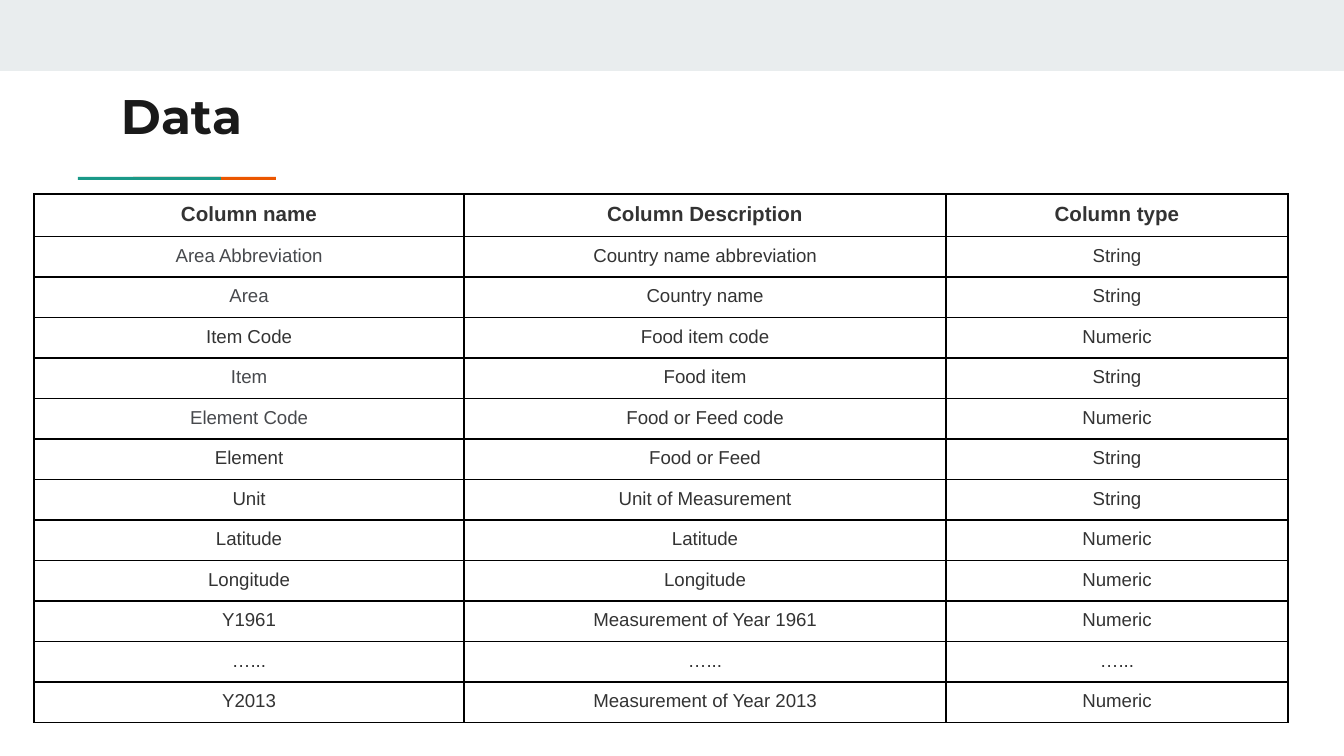
import pptx
import pptx.dml.color
import pptx.enum.shapes
import pptx.enum.text
import pptx.oxml
import pptx.oxml.ns
import pptx.util

RGBColor = pptx.dml.color.RGBColor
BAND_GRAY = RGBColor(0xE9, 0xED, 0xEE)
ORANGE = RGBColor(0xEB, 0x56, 0x00)
TEAL = RGBColor(0x1A, 0x99, 0x88)
TITLE_BLACK = RGBColor(0x1A, 0x1A, 0x1A)
TEXT_DARK = RGBColor(0x33, 0x33, 0x33)
TEXT_GRAY = RGBColor(0x47, 0x49, 0x4D)

EMU_PER_PX = 914400 / 134.4


def px(length):
    return pptx.util.Emu(round(length * EMU_PER_PX))


def add_run(paragraph, text, font_name, size, color, bold):
    run = paragraph.add_run()
    run.text = text
    run.font.name = font_name
    run.font.size = pptx.util.Pt(size)
    run.font.color.rgb = color
    run.font.bold = bold


deck = pptx.Presentation()
deck.slide_width, deck.slide_height = px(1344), px(756)
slide = deck.slides.add_slide(deck.slide_layouts[6])

# Top band and two-colour rule, teal overlapping orange
for left, top, width, height, color in [
    (0, 0, 1344, 71, BAND_GRAY),
    (133, 177, 143, 3, ORANGE),
    (78, 177, 143, 3, TEAL),
]:
    bar = slide.shapes.add_shape(
        pptx.enum.shapes.MSO_SHAPE.RECTANGLE, px(left), px(top), px(width), px(height))
    bar.shadow.inherit = False
    bar.fill.solid()
    bar.fill.fore_color.rgb = color
    bar.line.fill.background()

# Title
title = slide.shapes.add_textbox(px(108), px(73), px(1130), px(79)).text_frame
title.word_wrap = True
title.margin_left = title.margin_right = px(13)
title.margin_top = title.margin_bottom = px(13)
add_run(title.paragraphs[0], "Data", "Montserrat", 26, TITLE_BLACK, True)

# Column table
rows = [
    ("Column name", "Column Description", "Column type"),
    ("Area Abbreviation", "Country name abbreviation", "String"),
    ("Area", "Country name", "String"),
    ("Item Code", "Food item code", "Numeric"),
    ("Item", "Food item", "String"),
    ("Element Code", "Food or Feed code", "Numeric"),
    ("Element", "Food or Feed", "String"),
    ("Unit", "Unit of Measurement", "String"),
    ("Latitude", "Latitude", "Numeric"),
    ("Longitude", "Longitude", "Numeric"),
    ("Y1961", "Measurement of Year 1961", "Numeric"),
    ("…...", "…...", "…..."),
    ("Y2013", "Measurement of Year 2013", "Numeric"),
]
gray_names = {"Area Abbreviation", "Area", "Item", "Element Code"}
column_widths = [430, 482, 342]
# Minimum heights: each row grows to fit its text
row_heights = [32] + [30] * (len(rows) - 1)

columns = slide.shapes.add_table(
    len(rows), len(column_widths), px(34), px(194),
    px(sum(column_widths)), px(sum(row_heights))).table
columns.first_row = False
columns.horz_banding = False
for column, width in zip(columns.columns, column_widths):
    column.width = px(width)

for r, texts in enumerate(rows):
    columns.rows[r].height = px(row_heights[r])
    header = r == 0
    for c, text in enumerate(texts):
        cell = columns.cell(r, c)
        cell.margin_left = cell.margin_right = px(9)
        cell.margin_top = cell.margin_bottom = px(9)
        paragraph = cell.text_frame.paragraphs[0]
        paragraph.alignment = pptx.enum.text.PP_ALIGN.CENTER
        color = TEXT_GRAY if text in gray_names else TEXT_DARK
        add_run(paragraph, text, "Arial", 11 if header else 10, color, header)
        # Black 1 pt borders on every side
        properties = cell._tc.get_or_add_tcPr()
        for side in ("lnL", "lnR", "lnT", "lnB"):
            properties.append(pptx.oxml.parse_xml(
                f'<a:{side} {pptx.oxml.ns.nsdecls("a")} w="12700"><a:solidFill>'
                f'<a:srgbClr val="000000"/></a:solidFill></a:{side}>'))
        cell.fill.background()

deck.save("out.pptx")
